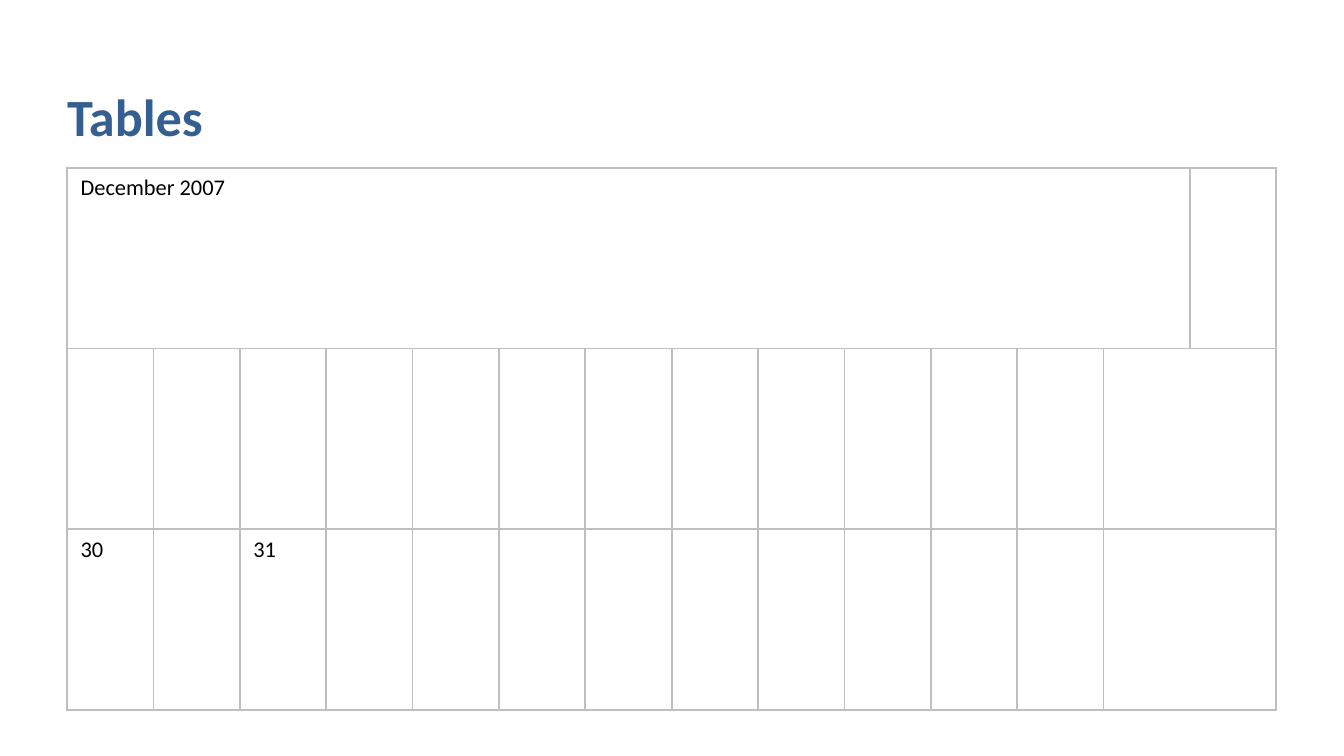
import pptx
import pptx.dml.color
import pptx.enum.text
import pptx.util
from lxml import etree


def color(value):
    return pptx.dml.color.RGBColor.from_string(value)


def style(p, size, value, bold=False):
    for r in p.runs:
        r.font.name = "Calibri"
        r.font.size = pptx.util.Pt(size)
        r.font.bold = bold
        r.font.color.rgb = color(value)


A = "{http://schemas.openxmlformats.org/drawingml/2006/main}"
ROWS, COLS = 3, 14

prs = pptx.Presentation()
W = pptx.util.Inches(10)
H = W * 9 // 16
prs.slide_width = W
prs.slide_height = H
s = prs.slides.add_slide(prs.slide_layouts[6])

margin = W // 20
width = W - 2 * margin
col_width = width // COLS
table_top = H * 2 // 9
row_height = H * 43 // 180

title = s.shapes.add_textbox(margin, H // 18, width, H * 5 // 36)
tf = title.text_frame
tf.word_wrap = True
tf.vertical_anchor = pptx.enum.text.MSO_ANCHOR.BOTTOM
tf.margin_left = tf.margin_right = tf.margin_top = tf.margin_bottom = 0
tf.text = "Tables"
style(tf.paragraphs[0], 28, "365F91", True)

frame = s.shapes.add_table(
    ROWS, COLS, margin, table_top, width, ROWS * row_height)
table = frame.table
table.first_row = False
table.horz_banding = False
for column in table.columns:
    column.width = col_width
for row in table.rows:
    row.height = row_height

for cell in table.iter_cells():
    tcPr = cell._tc.get_or_add_tcPr()
    for side in ("lnL", "lnR", "lnT", "lnB"):
        ln = etree.SubElement(tcPr, A + side, w=str(pptx.util.Pt(1.02)))
        fill = etree.SubElement(ln, A + "solidFill")
        etree.SubElement(fill, A + "srgbClr", val="BFBFBF")
    cell.fill.background()

for row, first, last in ((0, 0, 12), (1, 12, 13), (2, 12, 13)):
    table.cell(row, first).merge(table.cell(row, last))

for row, col, text in ((0, 0, "December 2007"), (2, 0, "30"), (2, 2, "31")):
    tf = table.cell(row, col).text_frame
    tf.text = text
    style(tf.paragraphs[0], 12, "000000")

prs.save("out.pptx")
